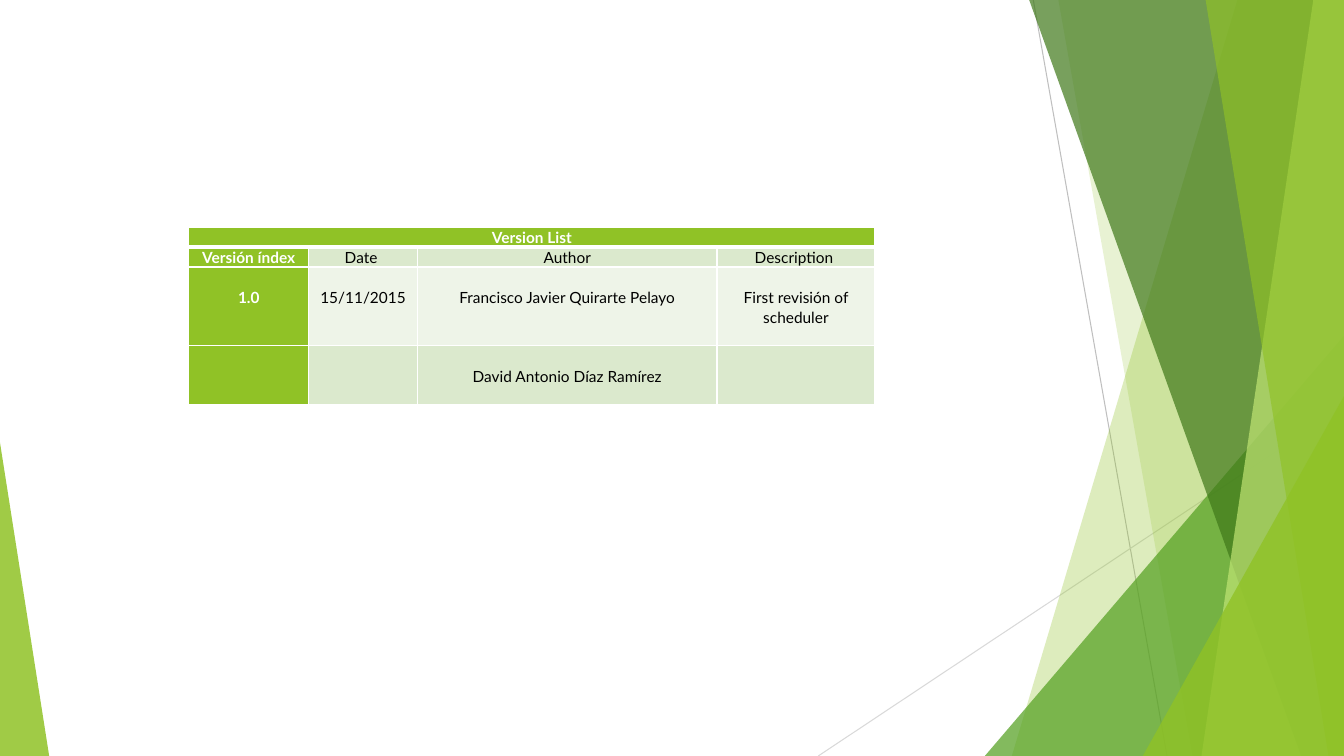
from dataclasses import dataclass

from lxml.etree import SubElement
from pptx import Presentation
from pptx.dml.color import RGBColor as Color
from pptx.enum.shapes import MSO_CONNECTOR as Connector, MSO_SHAPE as Preset
from pptx.enum.text import PP_ALIGN as Align
from pptx.oxml import parse_xml
from pptx.oxml.ns import nsdecls, qn
from pptx.util import Cm, Pt


@dataclass(frozen=True)
class Theme:
    """Colours, type sizes and slide size."""
    lime: str = "90C226"
    pale_lime: str = "C0E474"
    green: str = "54A021"
    forest: str = "3F7819"
    white: str = "FFFFFF"
    black: str = "000000"
    band_dark: str = "DBE9CD"
    band_light: str = "EEF4E8"
    line_dark: str = "BFBFBF"
    line_light: str = "D9D9D9"
    font: str = "Lato"
    size: float = 11
    line_spacing: float = 1.07
    width: float = 33.87
    height: float = 19.05
    top: float = -0.02


THEME = Theme()
COLUMNS = (3.02, 2.74, 7.55, 3.98)
ROWS = (0.5, 0.5, 1.99, 1.47)
TOP_MARGINS = (0, 0, 0.5, 0.5)
VERSIONS = (
    ("Version List", "", "", ""),
    ("Versión índex", "Date ", "Author", "Description "),
    ("1.0", "15/11/2015", "Francisco Javier Quirarte Pelayo", "First revisión of scheduler"),
    ("", "", "David Antonio Díaz Ramírez", ""),
)


def apply_format(target, values):
    """Set every attribute named in a dict of format values."""
    for name, value in values.items():
        setattr(target, name, value)


def paint(shape, color, opacity):
    """Give a shape a translucent fill without line or shadow."""
    shape.shadow.inherit = False
    shape.line.fill.background()
    shape.fill.solid()
    shape.fill.fore_color.rgb = Color.from_string(color)
    color_element = shape._element.spPr.find(qn("a:solidFill"))[0]
    SubElement(color_element, qn("a:alpha"), val=str(opacity * 1000))


def add_line(slide, start, end, color):
    """Draw a thin straight line."""
    points = [Cm(value) for value in (*start, *end)]
    line = slide.shapes.add_connector(Connector.STRAIGHT, *points)
    line.line.width = Pt(0.75)
    line.line.color.rgb = Color.from_string(color)
    SubElement(line._element.spPr, qn("a:effectLst"))


def add_panel(slide, top_x, bottom_x, color, opacity):
    """Draw a full-height panel with a slanted left edge."""
    corners = [(THEME.width, THEME.top), (THEME.width, THEME.height), (bottom_x, THEME.height)]
    builder = slide.shapes.build_freeform(Cm(top_x), Cm(THEME.top))
    builder.add_line_segments([(Cm(x), Cm(y)) for x, y in corners], close=True)
    paint(builder.convert_to_shape(), color, opacity)


def add_corner(slide, left, right, top, apex, color, opacity):
    """Draw a right triangle standing on the bottom edge."""
    box = [Cm(value) for value in (left, top, right - left, THEME.height - top)]
    triangle = slide.shapes.add_shape(Preset.ISOSCELES_TRIANGLE, *box)
    triangle.adjustments[0] = apex
    paint(triangle, color, opacity)


def set_borders(cell, widths):
    """Add white borders, widths in points for left, right, top and bottom."""
    properties = cell._tc.get_or_add_tcPr()
    for index, (side, width) in enumerate(zip("LRTB", widths)):
        properties.insert(index, parse_xml(
            f'<a:ln{side} {nsdecls("a")} w="{Pt(width)}"><a:solidFill>'
            f'<a:srgbClr val="{THEME.white}"/></a:solidFill></a:ln{side}>'))


def format_cell(cell, text, row, column):
    """Fill a version cell with its text, colour and borders."""
    accent = row == 0 or column == 0
    band = THEME.band_light if row == 2 else THEME.band_dark
    apply_format(cell, {"margin_left": Cm(0.18), "margin_right": Cm(0.18),
                        "margin_top": Cm(TOP_MARGINS[row]), "margin_bottom": 0})
    cell.fill.solid()
    cell.fill.fore_color.rgb = Color.from_string(THEME.lime if accent else band)
    set_borders(cell, (1, 1, 3 if row == 1 else 1, 3 if row == 0 else 1))
    paragraph = cell.text_frame.paragraphs[0]
    apply_format(paragraph, {"alignment": Align.CENTER, "line_spacing": THEME.line_spacing})
    apply_format(paragraph.font, {"size": Pt(THEME.size)})
    if text:
        run = paragraph.add_run()
        run.text = text
        apply_format(run.font, {"name": THEME.font, "size": Pt(THEME.size), "bold": accent})
        run.font.color.rgb = Color.from_string(THEME.white if accent else THEME.black)


def add_version_table(slide, left, top):
    """Build the version list with its merged title row."""
    frame = slide.shapes.add_table(len(ROWS), len(COLUMNS), Cm(left), Cm(top),
                                   Cm(sum(COLUMNS)), Cm(sum(ROWS)))
    table = frame.table
    apply_format(table, {"first_row": False, "horz_banding": False})
    for column, width in zip(table.columns, COLUMNS):
        column.width = Cm(width)
    for row, height in zip(table.rows, ROWS):
        row.height = Cm(height)
    for row, texts in enumerate(VERSIONS):
        for column, text in enumerate(texts):
            format_cell(table.cell(row, column), text, row, column)
    table.cell(0, 0).merge(table.cell(0, len(COLUMNS) - 1))


def main():
    """Build and save the version slide."""
    presentation = Presentation()
    apply_format(presentation, {"slide_width": Cm(THEME.width), "slide_height": Cm(THEME.height)})
    slide = presentation.slides.add_slide(presentation.slide_layouts[6])
    add_line(slide, (26.04, 0), (29.41, THEME.height), THEME.line_dark)
    add_line(slide, (THEME.width, 10.24), (20.62, THEME.height), THEME.line_light)
    add_panel(slide, 31.19, 25.5, THEME.lime, 30)
    add_panel(slide, 26.67, 30.05, THEME.lime, 20)
    add_corner(slide, 24.82, THEME.width, 8.46, 1, THEME.green, 72)
    add_panel(slide, 25.93, 32.79, THEME.forest, 70)
    add_panel(slide, 33.1, 30.28, THEME.pale_lime, 70)
    add_panel(slide, 30.38, 33.48, THEME.lime, 65)
    add_corner(slide, 28.8, THEME.width, 9.98, 1, THEME.lime, 80)
    add_corner(slide, 0, 1.24, 11.15, 0, THEME.lime, 85)
    add_version_table(slide, 4.76, 5.72)
    presentation.save("out.pptx")


if __name__ == "__main__":
    main()
